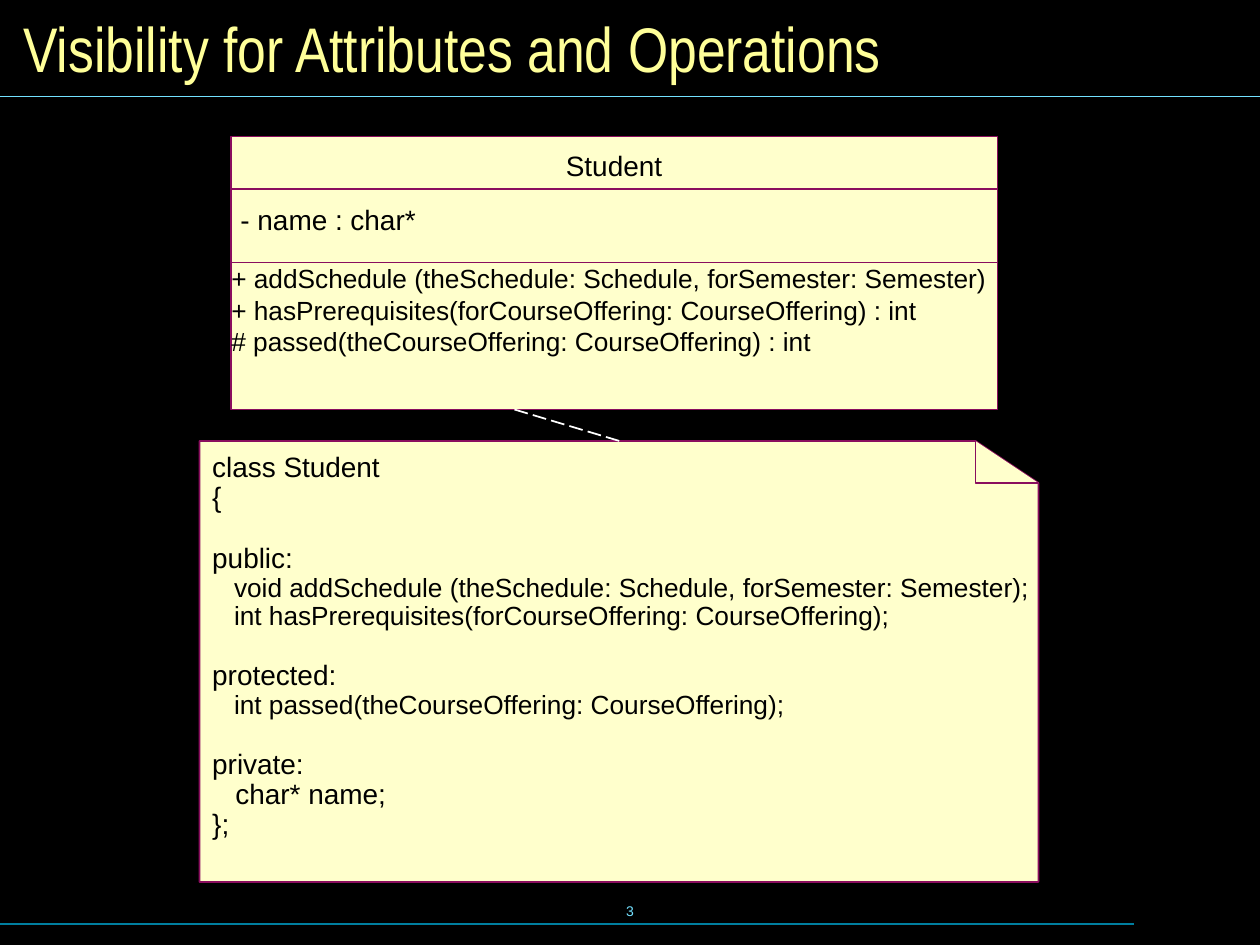
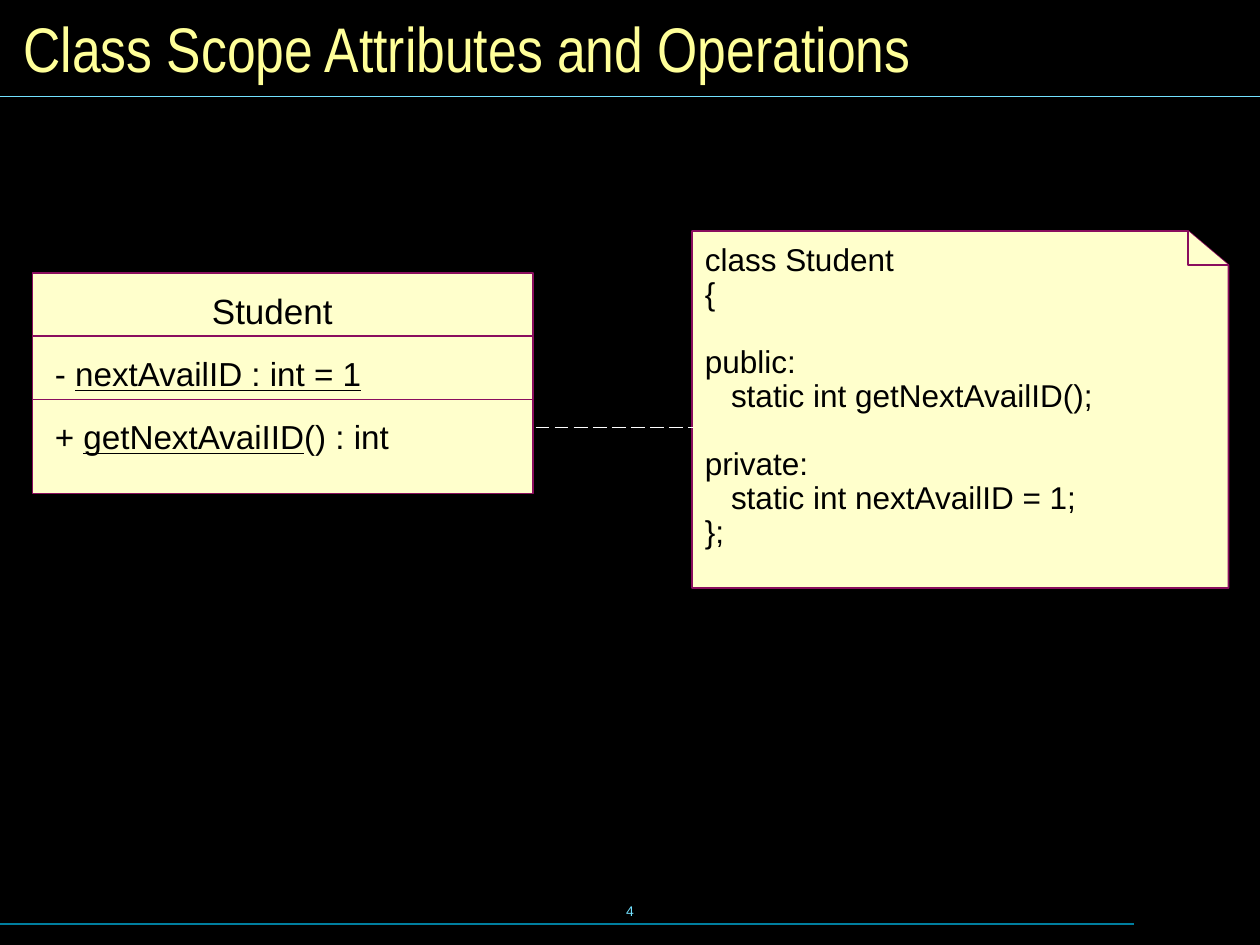
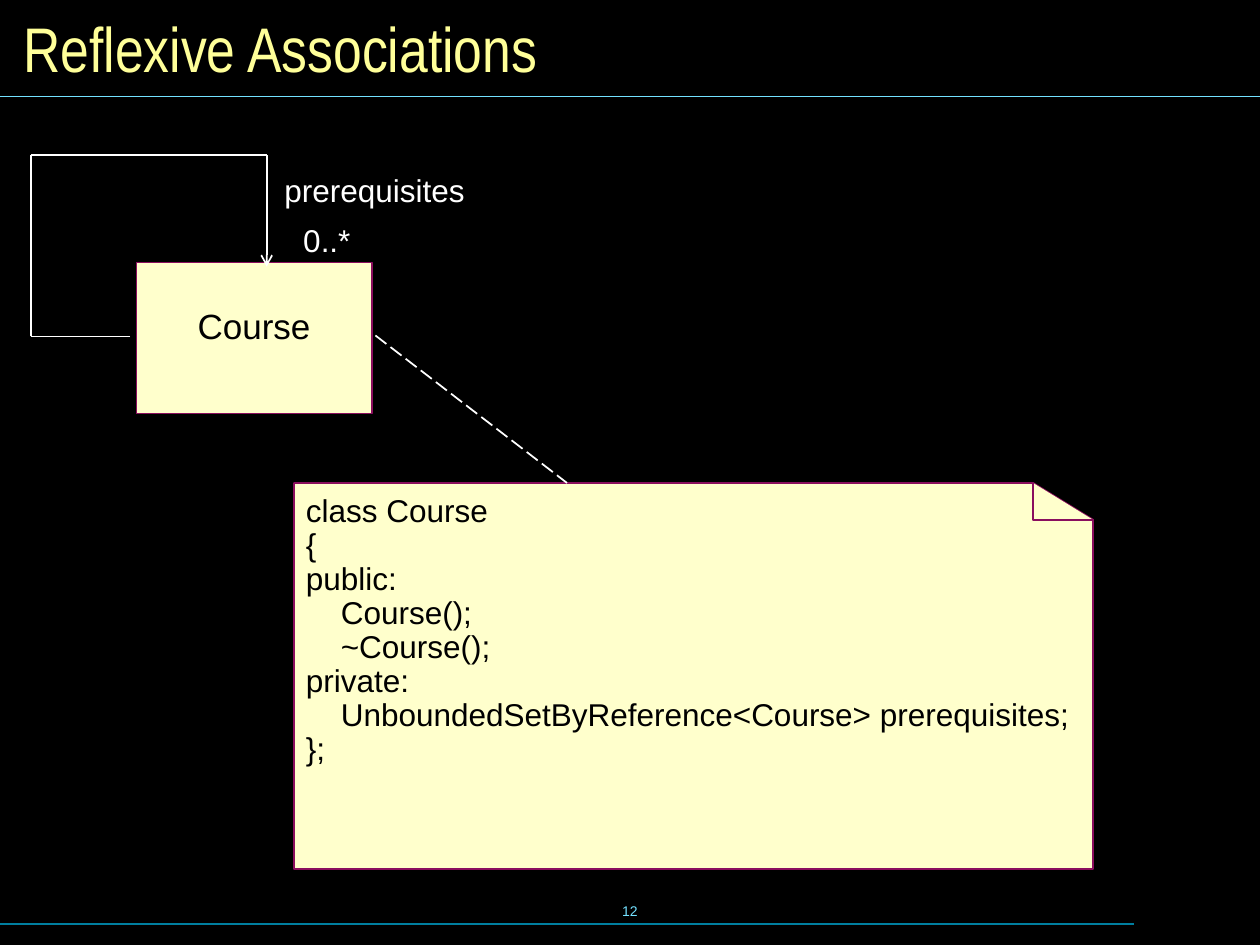
from lxml import etree
from pptx import Presentation
from pptx import util as u
from pptx.dml.color import RGBColor
from pptx.enum import dml, shapes, text
from pptx.oxml import ns

BLACK = RGBColor(0x00, 0x00, 0x00)
WHITE = RGBColor(0xFF, 0xFF, 0xFF)
CREAM = RGBColor(0xFF, 0xFF, 0xCC)
PLUM = RGBColor(0x8A, 0x0E, 0x5E)
YELLOW = RGBColor(0xFF, 0xFF, 0x99)
SKY = RGBColor(0x73, 0xE1, 0xFF)
TEAL = RGBColor(0x00, 0x7E, 0x9F)

COLS, ROWS = 120, 90
WIDTH, HEIGHT = u.Inches(10), u.Inches(7.5)
CODE_SPACING = 0.9
BLANK_LINE = 1.08


def x(cols):
    return round(WIDTH * cols / COLS)


def y(rows):
    return round(HEIGHT * rows / ROWS)


def add_box(s, left, top, width, height, inset=True, anchor=text.MSO_ANCHOR.TOP):
    tf = s.shapes.add_textbox(x(left), y(top), x(width), y(height)).text_frame
    tf.word_wrap = True
    tf.vertical_anchor = anchor
    if not inset:
        tf.margin_left = tf.margin_right = tf.margin_top = tf.margin_bottom = 0
    return tf


def add_run(p, content, size, color=BLACK, name="Arial", underline=None):
    r = p.add_run()
    r.text = content
    r.font.size = u.Pt(size)
    r.font.name = name
    r.font.color.rgb = color
    r.font.underline = underline


def add_label(s, box, content, size, color=BLACK, inset=True, spacing=None, align=None):
    tf = add_box(s, *box, inset=inset)
    for i, line in enumerate(content.split("\n")):
        p = tf.add_paragraph() if i else tf.paragraphs[0]
        p.line_spacing = spacing
        p.alignment = align
        add_run(p, line, size, color)


def add_member(s, box, size, *runs):
    p = add_box(s, *box).paragraphs[0]
    for content, underline in runs:
        add_run(p, content, size, underline=underline)


def add_code(s, box, lines, size, small=()):
    tf = add_box(s, *box)
    p, gap = tf.paragraphs[0], 0
    for i, line in enumerate(lines):
        if not line:
            gap = size * BLANK_LINE
            continue
        if i:
            p = tf.add_paragraph()
        p.line_spacing = CODE_SPACING
        p.space_before = u.Pt(gap)
        add_run(p, line, size - 1 if line.startswith(small) else size)
        gap = 0


def paint(sp, weight=1):
    sp.shadow.inherit = False
    sp.fill.solid()
    sp.fill.fore_color.rgb = CREAM
    sp.line.color.rgb = PLUM
    sp.line.width = u.Pt(weight)


def add_line(s, start, end, color, weight=1, dashed=False, arrow=False):
    line = s.shapes.add_connector(
        shapes.MSO_CONNECTOR.STRAIGHT, x(start[0]), y(start[1]), x(end[0]), y(end[1]))
    line.line.color.rgb = color
    line.line.width = u.Pt(weight)
    if dashed:
        line.line.dash_style = dml.MSO_LINE.LONG_DASH
    if arrow:
        etree.SubElement(line.line._get_or_add_ln(), ns.qn("a:tailEnd"), type="arrow")
    etree.SubElement(line._element.spPr, ns.qn("a:effectLst"))


def add_class(s, left, top, width, height, dividers=(), weight=1):
    sp = s.shapes.add_shape(
        shapes.MSO_SHAPE.RECTANGLE, x(left), y(top), x(width), y(height))
    paint(sp, weight)
    for row in dividers:
        add_line(s, (left, row), (left + width, row), PLUM)


def add_outline(s, points, close):
    points = [(x(col), y(row)) for col, row in points]
    builder = s.shapes.build_freeform(*points[0])
    builder.add_line_segments(points[1:], close=close)
    paint(builder.convert_to_shape())


def add_note(s, left, top, width, height, fold_w, fold_h):
    right, bottom = left + width, top + height
    crease, corner = (right - fold_w, top), (right, top + fold_h)
    add_outline(s, [(right, bottom), (left, bottom), (left, top), crease, corner], True)
    add_outline(s, [corner, (right - fold_w, top + fold_h), crease], False)


def add_slide(prs, title, number):
    s = prs.slides.add_slide(prs.slide_layouts[6])
    add_line(s, (0, 88), (108, 88), TEAL, 0.75)
    add_line(s, (0, 9.17), (COLS, 9.17), SKY, 0.75)
    p = add_box(s, 41, 83.75, 38, 6, anchor=text.MSO_ANCHOR.MIDDLE).paragraphs[0]
    p.alignment = text.PP_ALIGN.CENTER
    add_run(p, str(number), 8, SKY)
    tf = add_box(s, 1.05, 1, 118, 7, anchor=text.MSO_ANCHOR.MIDDLE)
    add_run(tf.paragraphs[0], title, 36, YELLOW, "Arial Narrow")
    return s


def build_visibility(prs):
    s = add_slide(prs, "Visibility for Attributes and Operations", 3)
    add_note(s, 19, 42, 79.9, 42, 6, 4)
    add_class(s, 22, 13, 73, 26, (18, 25), weight=0)
    add_line(s, (49, 39), (59, 42), WHITE, dashed=True)
    add_code(s, (19.03, 42.6, 83.9, 38), [
        "class Student",
        "{",
        "",
        "public:",
        "   void addSchedule (theSchedule: Schedule, forSemester: Semester);",
        "   int hasPrerequisites(forCourseOffering: CourseOffering);",
        "",
        "protected:",
        "   int passed(theCourseOffering: CourseOffering);",
        "",
        "private:",
        "   char* name;",
        "};",
    ], 16, small=("   void", "   int"))
    add_label(s, (53.9, 14.15, 12, 3.2), "Student", 16, inset=False)
    add_label(s, (22.9, 19.3, 20, 3.2), "- name : char*", 16, inset=False)
    add_label(s, (22.03, 25, 75, 9),
              "+ addSchedule (theSchedule: Schedule, forSemester: Semester)\n"
              "+ hasPrerequisites(forCourseOffering: CourseOffering) : int\n"
              "# passed(theCourseOffering: CourseOffering) : int", 15, inset=False)


def build_class_scope(prs):
    s = add_slide(prs, "Class Scope Attributes and Operations", 4)
    add_note(s, 65.9, 22, 51.1, 34, 3.85, 3.25)
    add_code(s, (65.95, 22.7, 54, 30.2), [
        "class Student",
        "{",
        "",
        "public:",
        "   static int getNextAvailID();",
        "",
        "private:",
        "   static int nextAvailID = 1;",
        "};",
    ], 18)
    add_line(s, (51, 40.72), (66, 40.72), WHITE, dashed=True)
    add_class(s, 3.1, 26, 47.7, 21, (32, 38.05))
    add_label(s, (19, 27, 16, 5.2), "Student", 20)
    add_member(s, (4.05, 33.1, 36, 5), 19, ("- ", None), ("nextAvailID : int = 1", True))
    add_member(s, (4.05, 39.08, 38, 5), 19,
               ("+ ", None), ("getNextAvaiIID", True), ("() : int", None))


def build_reflexive(prs):
    s = add_slide(prs, "Reflexive Associations", 12)
    add_note(s, 28, 46, 76.1, 36.75, 5.7, 3.5)
    add_class(s, 13, 25, 22.4, 14.4)
    add_label(s, (16.2, 28.9, 16, 4.7), "Course", 20,
              spacing=CODE_SPACING, align=text.PP_ALIGN.CENTER)
    add_label(s, (25.9, 16.1, 24, 4.3), "prerequisites", 18, WHITE, spacing=CODE_SPACING)
    add_label(s, (27.7, 20.9, 10, 4.3), "0..*", 18, WHITE, spacing=CODE_SPACING)
    add_line(s, (35.75, 31.95), (54, 46), WHITE, dashed=True)
    add_code(s, (27.95, 46.6, 76, 27), [
        "class Course",
        "{",
        "public:",
        "    Course();",
        "    ~Course();",
        "private:",
        "    UnboundedSetByReference<Course> prerequisites;",
        "};",
    ], 18)
    loop = [(12.4, 32.05), (2.93, 32.05), (2.93, 14.8), (25.4, 14.8), (25.4, 25.4)]
    for start, end in zip(loop, loop[1:]):
        add_line(s, start, end, WHITE, arrow=end == loop[-1])


def main():
    prs = Presentation()
    prs.slide_width, prs.slide_height = WIDTH, HEIGHT
    fill = prs.slide_master.background.fill
    fill.solid()
    fill.fore_color.rgb = BLACK
    build_visibility(prs)
    build_class_scope(prs)
    build_reflexive(prs)
    prs.save("out.pptx")


if __name__ == "__main__":
    main()
